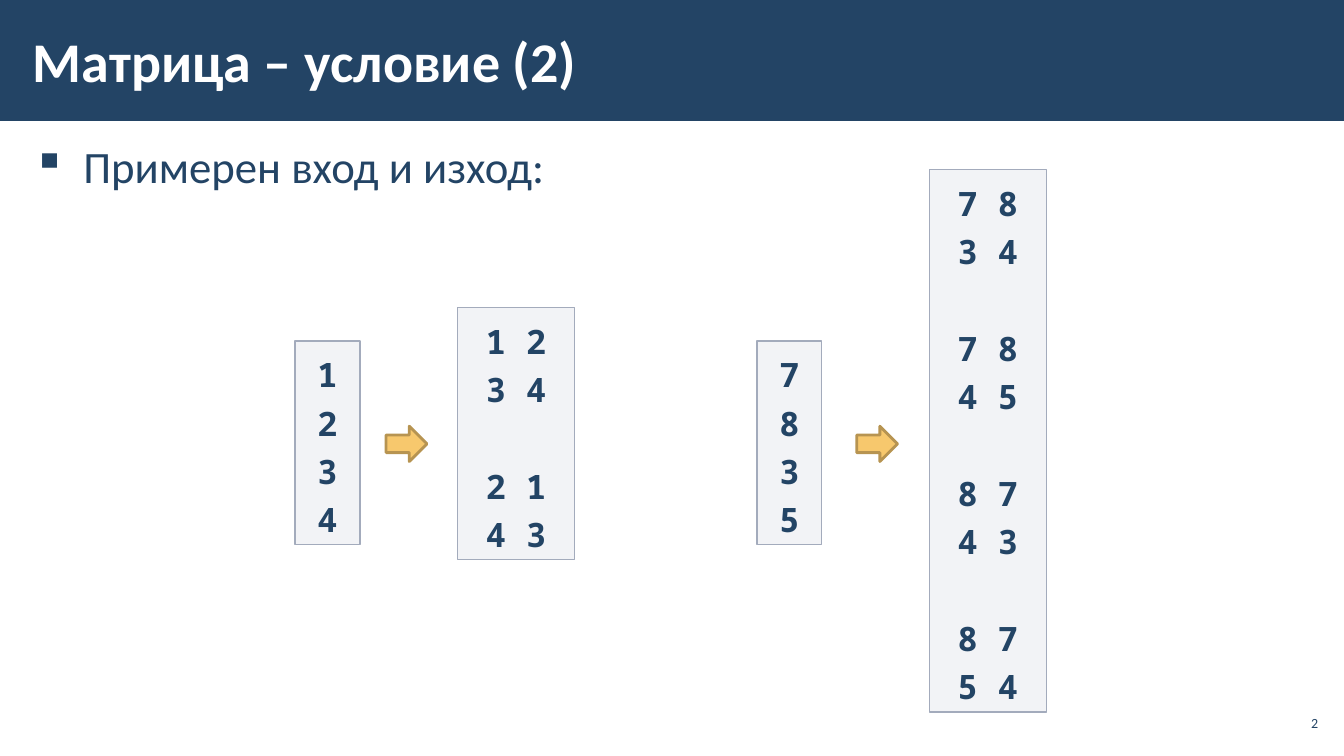
import lxml.etree
import pptx
import pptx.dml.color
import pptx.enum.shapes
import pptx.enum.text
import pptx.oxml.ns
import pptx.util

Cm, Pt = pptx.util.Cm, pptx.util.Pt
Align, Anchor = pptx.enum.text.PP_ALIGN, pptx.enum.text.MSO_ANCHOR
Shape = pptx.enum.shapes.MSO_SHAPE
qn = pptx.oxml.ns.qn

COLORS = {"navy": "234465", "white": "FFFFFF", "box": "C2C7D2",
          "box line": "A3ABBC", "arrow": "F7C86D", "arrow line": "B79451"}
WIDTH, HEIGHT = 33.87, 19.05
LINE_CM, LINE_PT = 1.22, 34.5

# input numbers, output matrices, then left of input, arrow and output, top of output
EXAMPLES = [
    (["1", "2", "3", "4"], [["1 2", "3 4"], ["2 1", "4 3"]],
     7.44, 9.73, 11.53, 7.75),
    (["7", "8", "3", "5"],
     [["7 8", "3 4"], ["7 8", "4 5"], ["8 7", "4 3"], ["8 7", "5 4"]],
     19.08, 21.59, 23.42, 4.27),
]


class SlideBuilder:
    def __init__(self, s):
        self.s = s

    def color(self, name):
        return pptx.dml.color.RGBColor.from_string(COLORS[name])

    def font(self, p, size, color="navy", bold=False, name="Calibri"):
        for r in p.runs:
            r.font.name, r.font.size, r.font.bold = name, Pt(size), bold
            r.font.color.rgb = self.color(color)

    def frame(self, sp, margin_x, anchor=Anchor.TOP):
        tf = sp.text_frame
        tf.word_wrap = True
        tf.vertical_anchor = anchor
        tf.margin_left = tf.margin_right = Cm(margin_x)
        tf.margin_top = tf.margin_bottom = Cm(0.1)
        return tf

    def shape(self, shapes, kind, box, fill, line=None, line_width=1):
        sp = shapes.add_shape(kind, *map(Cm, box))
        sp.shadow.inherit = False
        sp.fill.solid()
        sp.fill.fore_color.rgb = self.color(fill)
        if line:
            sp.line.color.rgb = self.color(line)
            sp.line.width = Pt(line_width)
        else:
            sp.line.fill.background()
        return sp

    def title(self, text):
        title = self.s.shapes.title
        band = self.shape(self.s.shapes, Shape.RECTANGLE, (0, 0, WIDTH, 3.05), "navy")
        title.element.addprevious(band.element)
        title.left, title.top, title.width, title.height = map(Cm, (0.53, 0.28, 26.39, 2.46))
        tf = self.frame(title, 0.3, Anchor.MIDDLE)
        tf.text = text
        p = tf.paragraphs[0]
        p.alignment = Align.LEFT
        self.font(p, 40, "white", True)

    def bullet(self, text):
        sp = self.s.shapes.add_textbox(*map(Cm, (0.53, 3.33, 32.82, 14.45)))
        tf = self.frame(sp, 0.3)
        tf.text = text
        p = tf.paragraphs[0]
        p.line_spacing, p.space_after = 1.05, Pt(6)
        pPr = p._p.get_or_add_pPr()
        pPr.set("marL", str(Cm(1.27)))
        pPr.set("indent", str(Cm(-1.27)))
        lxml.etree.SubElement(pPr, qn("a:buChar")).set("char", "▪")
        self.font(p, 32)

    def page_number(self, text):
        sp = self.s.shapes.add_textbox(*map(Cm, (32.13, 17.78, 1.19, 0.86)))
        tf = self.frame(sp, 0.1, Anchor.MIDDLE)
        tf.text = text
        p = tf.paragraphs[0]
        p.alignment = Align.RIGHT
        self.font(p, 10)

    def number_box(self, shapes, blocks, left, top, width):
        """Draw blocks of lines with one line of space between blocks."""
        lines = [line for block in blocks for line in block]
        rows = len(lines) + len(blocks) - 1
        sp = self.shape(shapes, Shape.RECTANGLE,
                        (left, top, width, rows * LINE_CM + 0.25), "box", "box line")
        clr = sp.fill._xPr.find(".//" + qn("a:srgbClr"))
        lxml.etree.SubElement(clr, qn("a:alpha")).set("val", "20000")
        tf = self.frame(sp, 0.25)
        tf.margin_top = tf.margin_bottom = Cm(0.13)
        tf.auto_size = pptx.enum.text.MSO_AUTO_SIZE.SHAPE_TO_FIT_TEXT
        tf.text = "\n".join(lines)
        for i, p in enumerate(tf.paragraphs):
            p.alignment, p.line_spacing = Align.CENTER, 1.2
            if i and i % len(blocks[0]) == 0:
                p.space_before = Pt(LINE_PT)
            self.font(p, 24, bold=True, name="Noto Sans Mono")

    def example(self, numbers, matrices, input_left, arrow_left, output_left, output_top):
        shapes = self.s.shapes.add_group_shape().shapes
        self.number_box(shapes, [numbers], input_left, 8.59, 1.63)
        self.shape(shapes, Shape.RIGHT_ARROW, (arrow_left, 10.74, 1.03, 0.89),
                   "arrow", "arrow line", 2)
        self.number_box(shapes, matrices, output_left, output_top, 2.95)


def main():
    prs = pptx.Presentation()
    prs.slide_width, prs.slide_height = Cm(WIDTH), Cm(HEIGHT)
    slide = SlideBuilder(prs.slides.add_slide(prs.slide_layouts[5]))
    slide.title("Матрица – условие (2)")
    slide.bullet("Примерен вход и изход:")
    slide.page_number("2")
    for example in EXAMPLES:
        slide.example(*example)
    prs.save("out.pptx")


if __name__ == "__main__":
    main()
